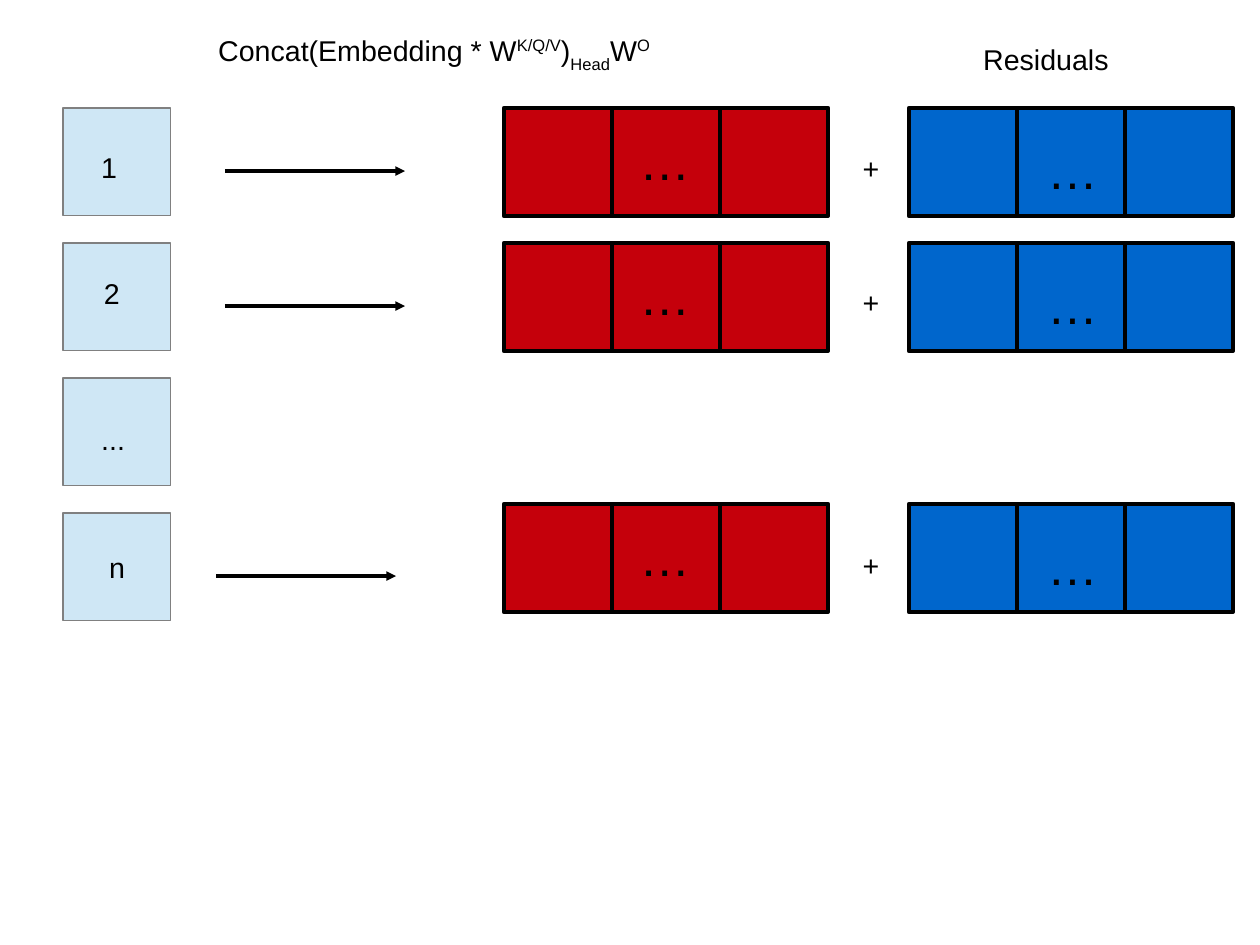
from lxml.etree import SubElement
from pptx import Presentation
from pptx.dml.color import RGBColor
from pptx.enum.shapes import MSO_CONNECTOR, MSO_SHAPE
from pptx.enum.text import MSO_ANCHOR, MSO_AUTO_SIZE, PP_ALIGN
from pptx.oxml.ns import qn
from pptx.util import Cm, Pt

COLORS = {
    "token": "CFE7F5",
    "token_edge": "808080",
    "projection": "C5000B",
    "residual": "0066CC",
    "ink": "000000",
}
CELL = 2.4

prs = Presentation()
prs.slide_width, prs.slide_height = Cm(28), Cm(21)
slide = prs.slides.add_slide(prs.slide_layouts[6])


def add_cell(left, top, fill, edge, edge_width):
    cell = slide.shapes.add_shape(
        MSO_SHAPE.RECTANGLE, Cm(left), Cm(top), Cm(CELL), Cm(CELL))
    cell.shadow.inherit = False
    cell.fill.solid()
    cell.fill.fore_color.rgb = RGBColor.from_string(COLORS[fill])
    cell.line.color.rgb = RGBColor.from_string(COLORS[edge])
    cell.line.width = Pt(edge_width)
    return cell


def add_label(left, top, width, height, parts, size=18, inset=(0.25, 0.13)):
    """Add one line of text; parts are (text, baseline shift in percent)."""
    label = slide.shapes.add_textbox(Cm(left), Cm(top), Cm(width), Cm(height))
    frame = label.text_frame
    frame.word_wrap = False
    frame.auto_size = MSO_AUTO_SIZE.SHAPE_TO_FIT_TEXT
    frame.margin_left = frame.margin_right = Cm(inset[0])
    frame.margin_top = frame.margin_bottom = Cm(inset[1])
    paragraph = frame.paragraphs[0]
    paragraph.font.size = Pt(size)
    paragraph.font.name = "Arial"
    paragraph.font.color.rgb = RGBColor.from_string(COLORS["ink"])
    for text, shift in parts:
        run = paragraph.add_run()
        run.text = text
        if shift:
            run._r.get_or_add_rPr().set("baseline", str(shift * 1000))


# Input tokens, evenly stacked
for row in range(4):
    token = add_cell(1.4, 2.4 + 3 * row, "token", "token_edge", 0)

# The last token carries its own text
token.text_frame.vertical_anchor = MSO_ANCHOR.MIDDLE
last_token = token.text_frame.paragraphs[0]
last_token.text = "n"
last_token.alignment = PP_ALIGN.CENTER
last_token.font.size = Pt(18)
last_token.font.name = "Arial"
last_token.font.color.rgb = RGBColor.from_string(COLORS["ink"])

for text, left, top, width in (
    ("1", 2, 3.2, 0.86), ("2", 2.06, 6, 0.86), ("...", 2, 9.25, 1.04),
):
    add_label(left, top, width, 0.96, [(text, 0)])

# Arrows from tokens to their projections
for left, y in ((5, 3.8), (5, 6.8), (4.8, 12.8)):
    arrow = slide.shapes.add_connector(
        MSO_CONNECTOR.STRAIGHT, Cm(left), Cm(y), Cm(left + 4), Cm(y))
    arrow.line.color.rgb = RGBColor.from_string(COLORS["ink"])
    arrow.line.width = Pt(0)
    SubElement(arrow.line._get_or_add_ln(), qn("a:tailEnd"), type="triangle")
    SubElement(arrow._element.spPr, qn("a:effectLst"))

# Projection + residual vectors
for top, plus_top in ((2.4, 3.23), (5.4, 6.2), (11.2, 12.04)):
    for fill, left, dots_left, dots_drop in (
        ("projection", 11.2, 13.8, 0.2), ("residual", 20.2, 22.86, 0.4),
    ):
        for column in range(3):
            add_cell(left + CELL * column, top, fill, "ink", 2.83)
        add_label(dots_left, top + dots_drop, 1.93, 1.83, [("…", 0)],
                  size=32, inset=(0.41, 0.28))
    add_label(18.92, plus_top, 0.86, 0.96, [("+", 0)])

# Column headings
add_label(4.6, 0.6, 10.1, 1.12, [
    ("Concat(Embedding * W", 0), ("K/Q/V", 33), (")", 0),
    ("Head", -33), ("W", 0), ("O", 33),
])
add_label(21.6, 0.8, 3.3, 0.96, [("Residuals", 0)])

prs.save("out.pptx")
